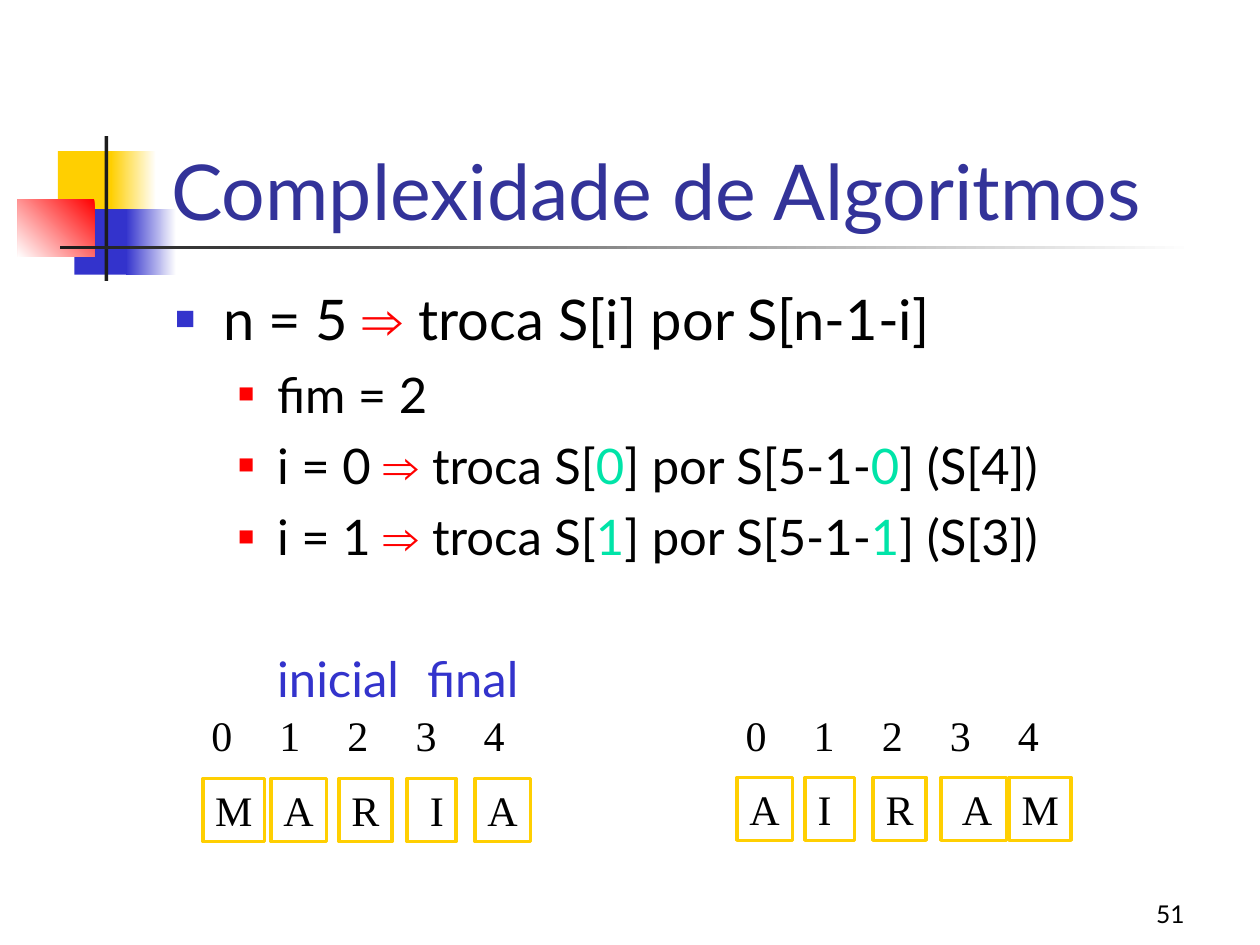
"""Build the slide on swapping S[i] with S[n-1-i]."""
from lxml import etree
from pptx import Presentation
from pptx import util as u
from pptx.dml import color as c
from pptx.enum import shapes, text
from pptx.oxml import ns

BLUE, GOLD, RED, MINT = "3333CC", "FFCF01", "FF0000", "00E4A8"
BLACK, WHITE, DARK = "000000", "FFFFFF", "1C1C1C"
ARROW = {"name": "Arial", "bold": True, "color": RED}
KEY = {"color": MINT}


def rgb(code):
    return c.RGBColor.from_string(code)


def put(obj, vals):
    for key, val in vals.items():
        setattr(obj, key, val)


class Deck:
    frame = {"word_wrap": True, "auto_size": text.MSO_AUTO_SIZE.NONE,
             "vertical_anchor": text.MSO_ANCHOR.TOP,
             "margin_left": u.Inches(0.1), "margin_right": u.Inches(0.1),
             "margin_top": u.Inches(0.05), "margin_bottom": u.Inches(0.05)}
    para = {"alignment": text.PP_ALIGN.LEFT, "space_before": u.Pt(0)}
    font = {"name": "Lato", "bold": False, "color": BLACK}
    cell = {"name": "Times New Roman", "size": u.Pt(24)}

    def __init__(self):
        self.prs = Presentation()
        self.prs.slide_width, self.prs.slide_height = u.Inches(10), u.Inches(7.5)
        self.slide = self.prs.slides.add_slide(self.prs.slide_layouts[1])

    def span(self, par, words, **font):
        run = par.add_run()
        run.text = words
        vals = {**self.font, **font}
        run.font.color.rgb = rgb(vals.pop("color"))
        put(run.font, vals)

    def letter(self, shape, words, frame={}, para={}, **font):
        put(shape.text_frame, {**self.frame, **frame})
        par = shape.text_frame.paragraphs[0]
        put(par, {**self.para, **para})
        self.span(par, words, **font)

    def place(self, shape, *box):
        put(shape, dict(zip(("left", "top", "width", "height"), map(u.Inches, box))))
        shape.element.getparent().append(shape.element)

    def rect(self, box, fill=None, fade=None, angle=180, line=None, home=None):
        shape = (home or self.slide).shapes.add_shape(
            shapes.MSO_SHAPE.RECTANGLE, *map(u.Inches, box))
        shape.shadow.inherit = False
        if fade:
            shape.fill.gradient()
            shape.fill.gradient_angle = angle
            for stop, code in zip(shape.fill.gradient_stops, fade):
                stop.color.rgb = rgb(code)
        elif fill:
            shape.fill.solid()
            shape.fill.fore_color.rgb = rgb(fill)
        else:
            shape.fill.background()
        if line:
            shape.line.color.rgb = rgb(line)
            shape.line.width = u.Pt(2)
        else:
            shape.line.fill.background()
        return shape

    def title(self, words):
        shape = self.slide.shapes.title
        self.place(shape, 1.26, 0.67, 8.52, 1.25)
        self.letter(shape, words, {"vertical_anchor": text.MSO_ANCHOR.BOTTOM},
                    size=u.Pt(44), color="333399")

    def mark(self, props, tag, **vals):
        return etree.SubElement(props, ns.qn("a:" + tag), vals)

    def item(self, par, runs, level, size, gap, left, hang, dot=None, tab=None):
        put(par, {**self.para, "level": level, "space_before": u.Pt(gap)})
        props = par._p.get_or_add_pPr()
        props.set("marL", str(u.Inches(left)))
        props.set("indent", str(u.Inches(hang)))
        if dot:
            code, scale = dot
            self.mark(self.mark(props, "buClr"), "srgbClr", val=code)
            self.mark(props, "buSzPct", val=str(scale * 1000))
            self.mark(props, "buFont", typeface="Arial")
            self.mark(props, "buChar", char="■")
        else:
            self.mark(props, "buNone")
        if tab:
            self.mark(self.mark(props, "tabLst"), "tab", pos=str(u.Inches(tab)), algn="l")
        for words, font in runs:
            self.span(par, words, size=u.Pt(size), **font)

    def body(self, items):
        shape = self.slide.placeholders[1]
        self.place(shape, 1.29, 2.21, 8.5, 4.5)
        frame = shape.text_frame
        put(frame, self.frame)
        for num, (runs, form) in enumerate(items):
            par = frame.add_paragraph() if num else frame.paragraphs[0]
            self.item(par, runs, **form)

    def label(self, words, box, home=None, **form):
        shape = (home or self.slide).shapes.add_textbox(*map(u.Inches, box))
        self.letter(shape, words, **form)

    def array(self, left, top, cells):
        wide = {"M": 0.49, "A": 0.44, "R": 0.42, "I": 0.39, " I": 0.39, " A": 0.52}
        boxes, marks = (self.slide.shapes.add_group_shape() for _ in range(2))
        for num, word in enumerate(cells):
            x = left + 0.54 * num
            box = self.rect((x, top, wide[word], 0.5), line=GOLD, home=boxes)
            self.letter(box, word, {"word_wrap": False}, **self.cell)
            self.label(str(num), (x - 0.03, 5.58, 0.36, 0.5), marks,
                       frame={"word_wrap": False}, **self.cell)


def main():
    deck = Deck()
    deck.rect((0.46, 1.2, 0.48, 0.52), GOLD)
    deck.rect((0.88, 1.2, 0.36, 0.52), fade=(WHITE, GOLD))
    deck.rect((0.59, 1.66, 0.46, 0.52), BLUE)
    deck.rect((1, 1.66, 0.4, 0.52), fade=(WHITE, BLUE))
    deck.rect((0.14, 1.58, 0.61, 0.46), fade=(RED, WHITE), angle=225)
    deck.rect((0.83, 1.08, 0.03, 1.15), DARK)
    deck.rect((0.48, 1.95, 9, 0.03), fade=(WHITE, DARK))
    deck.title("Complexidade de Algoritmos")

    top = dict(level=0, size=32, gap=8, left=0.38, hang=-0.38, dot=(BLUE, 60))
    sub = dict(level=1, size=28, gap=7, left=0.81, hang=-0.31, dot=(RED, 55))
    tags = dict(level=1, size=28, gap=47.6, left=0, hang=0.81, tab=4.67)
    swaps = [([(f"i = {i} ", {}), ("⇒ ", ARROW), ("troca S[", {}), (str(i), KEY),
               ("] por S[5-1-", {}), (str(i), KEY), (f"] (S[{4 - i}])", {})], sub)
             for i in range(2)]
    deck.body([
        ([("n = 5 ", {}), ("⇒ ", ARROW), ("troca S[i] por S[n-1-i]", {})], top),
        ([("fim = 2", {})], sub),
        *swaps,
        ([("inicial\tfinal", {"color": BLUE})], tags),
    ])
    deck.array(1.61, 6.18, ["M", "A", "R", " I", "A"])
    deck.array(5.85, 6.17, ["A", "I", "R", " A", "M"])
    deck.label("51", (7.42, 6.92, 2.08, 0.5),
               frame={"vertical_anchor": text.MSO_ANCHOR.BOTTOM},
               para={"alignment": text.PP_ALIGN.RIGHT}, size=u.Pt(14))
    deck.prs.save("out.pptx")


if __name__ == "__main__":
    main()
